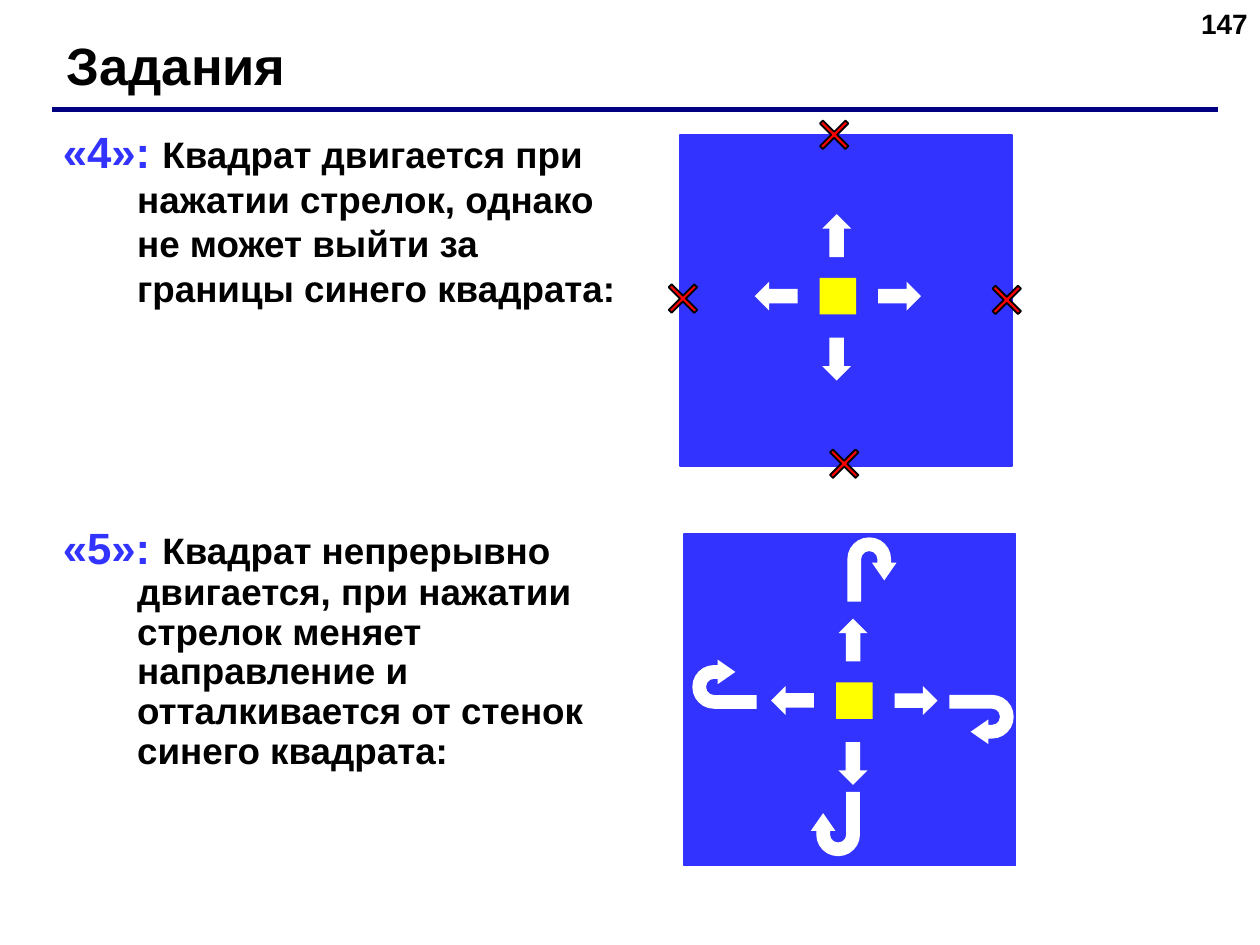
from dataclasses import dataclass

from pptx import Presentation
from pptx.dml.color import RGBColor
from pptx.enum import shapes, text
from pptx.oxml.ns import qn
from pptx.util import Inches, Pt
from lxml import etree

SHAPE = shapes.MSO_SHAPE


@dataclass(frozen=True)
class Theme:
    font: str = "Arial"
    ink: str = "000000"
    blue: str = "3333FF"
    navy: str = "000080"
    yellow: str = "FFFF00"
    white: str = "FFFFFF"
    red: str = "FF0000"
    title: int = 30
    label: int = 25
    body: int = 21
    number: int = 16


T = Theme()


def rgb(value):
    return RGBColor.from_string(value)


def style(font, size, color):
    font.name, font.size, font.bold = T.font, Pt(size), True
    font.color.rgb = rgb(color)


def add_text(s, box):
    tf = s.shapes.add_textbox(*map(Inches, box)).text_frame
    tf.word_wrap = True
    return tf


def add_part(s, kind, cx, cy, w, h, fill, line=None, rot=0, adj=()):
    """Place a preset shape by its centre."""
    sp = s.shapes.add_shape(kind, Inches(cx - w / 2), Inches(cy - h / 2), Inches(w), Inches(h))
    sp.shadow.inherit = False
    sp.fill.solid()
    sp.fill.fore_color.rgb = rgb(fill)
    if line:
        sp.line.color.rgb = rgb(line)
        sp.line.width = Pt(1)
    else:
        sp.line.fill.background()
    for i, value in enumerate(adj):
        sp.adjustments[i] = value
    sp.rotation = rot
    return sp


def header(s, title, number):
    # Slide number
    p = add_text(s, (7.67, 0, 2.33, 0.52)).paragraphs[0]
    p.text, p.alignment = number, text.PP_ALIGN.RIGHT
    style(p.font, T.number, T.ink)
    # Title
    tf = add_text(s, (0.43, 0.21, 8.9, 0.6))
    tf.vertical_anchor = text.MSO_ANCHOR.MIDDLE
    p = tf.paragraphs[0]
    p.text = title
    style(p.font, T.title, T.ink)
    # Rule under the title
    rule = s.shapes.add_connector(shapes.MSO_CONNECTOR.STRAIGHT,
                                  Inches(0.41), Inches(0.87), Inches(9.67), Inches(0.87))
    rule.line.color.rgb = rgb(T.navy)
    rule.line.width = Pt(3)
    etree.SubElement(rule._element.spPr, qn("a:effectLst"))


def tasks(s, box, items):
    tf = add_text(s, box)
    for i, (label, body, spacing, before) in enumerate(items):
        p = tf.add_paragraph() if i else tf.paragraphs[0]
        p.line_spacing, p.space_before = spacing, Pt(before)
        pPr = p._p.get_or_add_pPr()
        pPr.set("marL", str(Inches(0.59)))
        pPr.set("indent", str(-Inches(0.59)))
        for words, size, color in ((label, T.label, T.blue), (body, T.body, T.ink)):
            r = p.add_run()
            r.text = words
            style(r.font, size, color)


def field(s, left, top, cx, cy, size=2.63):
    """Blue field with a yellow square and four arrows around (cx, cy)."""
    add_part(s, SHAPE.RECTANGLE, left + size / 2, top + size / 2, size, size, T.blue, T.blue)
    add_part(s, SHAPE.RECTANGLE, cx, cy, 0.29, 0.29, T.yellow)
    reach = 0.49
    for dx, dy, rot in ((-1, 0, 0), (0, -1, 90), (1, 0, 180), (0, 1, 270)):
        # The vertical pair sits slightly left of and above the square's centre
        shift = 0.01 if dy else 0
        add_part(s, SHAPE.LEFT_ARROW, cx + dx * reach - shift, cy + dy * reach + shift,
                 0.34, 0.23, T.white, rot=rot)


def walls(s, centres):
    for cx, cy in centres:
        add_part(s, SHAPE.MATH_PLUS, cx, cy, 0.39, 0.39, T.red, T.ink, 45, (0.084,))


def bounces(s, turns):
    for cx, cy, rot in turns:
        add_part(s, SHAPE.U_TURN_ARROW, cx, cy, 0.39, 0.51, T.white, rot=rot,
                 adj=(0.28, 0.28, 0.36, 0.44, 0.67))


prs = Presentation()
prs.slide_width, prs.slide_height = Inches(10), Inches(7.5)
s = prs.slides.add_slide(prs.slide_layouts[6])

header(s, "Задания", "147")
tasks(s, (0.4, 0.94, 4.72, 5.33), (
    ("«4»: ", "Квадрат двигается при нажатии стрелок, однако не может выйти "
              "за границы синего квадрата:", 1, 0),
    ("«5»: ", "Квадрат непрерывно двигается, при нажатии стрелок меняет "
              "направление и отталкивается от стенок синего квадрата:", 0.9, 124),
))

# Task 4: walls stop the square
field(s, 5.4, 1.07, 6.65, 2.35)
walls(s, ((5.42, 2.37), (7.99, 2.38), (6.7, 3.68), (6.62, 1.07)))

# Task 5: the square bounces off the walls
field(s, 5.43, 4.24, 6.78, 5.56)
bounces(s, ((6.92, 4.52, 0), (7.79, 5.71, 90), (6.63, 6.54, 180), (5.75, 5.43, 270)))

prs.save("out.pptx")
